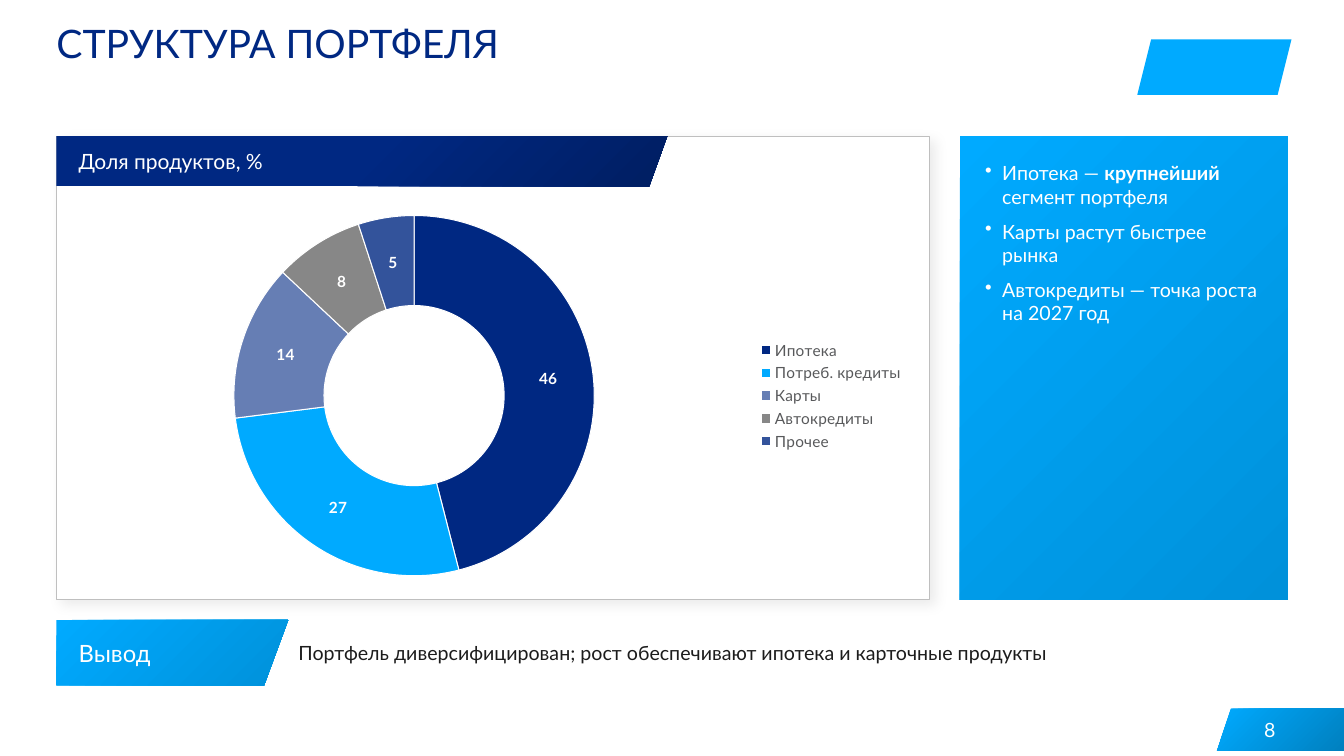
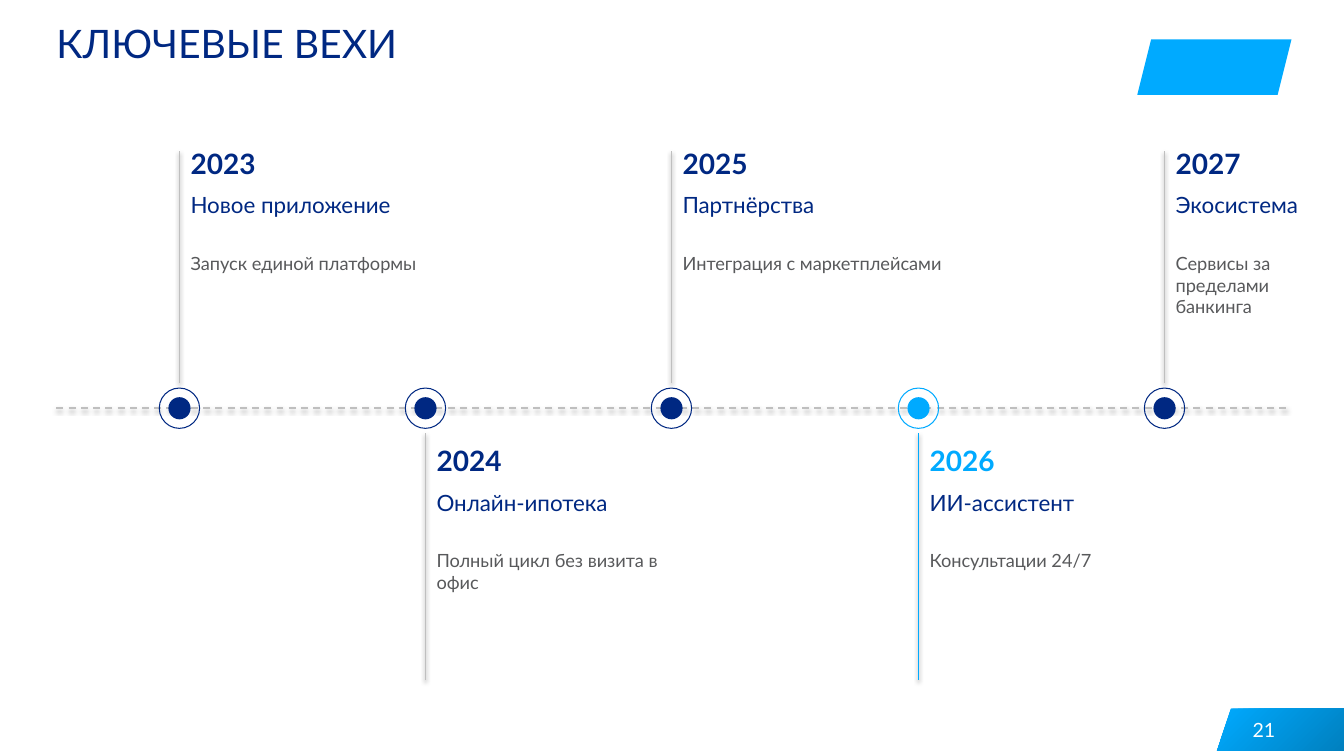
from dataclasses import dataclass

from pptx import Presentation
from pptx import util as u
from pptx.chart import data
from pptx.dml import color
from pptx.enum import chart as charts
from pptx.enum import dml, shapes, text
from pptx.oxml.ns import qn
from pptx.oxml.xmlchemy import OxmlElement

SCALE = u.Inches(1) // 100


def px(value):
    return u.Emu(value * SCALE)


def rgb(value):
    return color.RGBColor.from_string(value)


def child(parent, tag, **attributes):
    node = OxmlElement(tag)
    for name, value in attributes.items():
        node.set(name, str(value))
    parent.append(node)
    return node


@dataclass(frozen=True)
class Theme:
    font: str = "Lato"
    navy: str = "002882"
    sky: str = "00AAFF"
    white: str = "FFFFFF"
    ink: str = "1C1C1C"
    grey: str = "58595B"
    rule: str = "BFBFBF"
    slices: tuple = ("002882", "00AAFF", "667EB4", "878787", "33539B")
    sky_fade: tuple = ((0, "00AAFF"), (1, "0091DA"))
    navy_fade: tuple = ((0.5, "002882"), (1, "001E62"))
    footer_fade: tuple = ((0, "00AAFF"), (1, "0080BF"))
    card_shadow: tuple = (8, 9, 5, 45)
    line_shadow: tuple = (38, 3.1, 1.6, 90)
    title: int = 28
    year: int = 20
    badge: int = 17
    milestone: int = 16
    header: int = 15
    body: int = 14
    detail: int = 13
    chart: int = 11


class Builder:
    def __init__(self, theme):
        self.theme = theme
        self.deck = Presentation()
        self.deck.slide_width, self.deck.slide_height = px(1333), px(750)
        self.page = None

    def new_page(self, title, number):
        theme = self.theme
        self.page = self.deck.slides.add_slide(self.deck.slide_layouts[6])
        self.polygon([(1221, 703), (1333, 703), (1333, 745), (1207, 745)], theme.footer_fade)
        self.shape(shapes.MSO_SHAPE.PARALLELOGRAM, (1128, 39, 153, 55), fill=theme.sky)
        self.text((56, 19, 1048, 94), title, theme.title, theme.navy)
        self.text((1219, 704, 46, 40), number, theme.body, theme.white,
                  middle=True, align=text.PP_ALIGN.RIGHT)

    def effect(self, item, shadow=None):
        effects = child(item._element.spPr, "a:effectLst")
        if shadow:
            alpha, blur, distance, angle = shadow
            outer = child(effects, "a:outerShdw", blurRad=u.Pt(blur), dist=u.Pt(distance),
                          dir=angle * 60000, algn="tl", rotWithShape=0)
            tint = child(outer, "a:srgbClr", val="000000")
            child(tint, "a:alpha", val=alpha * 1000)

    def paint(self, item, fill=None, line=None, width=1, shadow=None):
        if isinstance(fill, tuple):
            item.fill.gradient()
            item.fill.gradient_angle = 315
            for stop, (position, tone) in zip(item.fill.gradient_stops, fill):
                stop.position = position
                stop.color.rgb = rgb(tone)
        elif fill:
            item.fill.solid()
            item.fill.fore_color.rgb = rgb(fill)
        else:
            item.fill.background()
        if line:
            item.line.color.rgb = rgb(line)
            item.line.width = u.Pt(width)
        else:
            item.line.fill.background()
        self.effect(item, shadow)

    def shape(self, kind, bounds, **look):
        self.paint(self.page.shapes.add_shape(kind, *map(px, bounds)), **look)

    def polygon(self, points, fill):
        outline = self.page.shapes.build_freeform(*points[0], scale=SCALE)
        outline.add_line_segments(points[1:], close=True)
        self.paint(outline.convert_to_shape(), fill)

    def circle(self, x, y, size, **look):
        self.shape(shapes.MSO_SHAPE.OVAL, (x - size // 2, y - size // 2, size, size), **look)

    def line(self, start, end, tone, width=1.0, dash=None):
        link = self.page.shapes.add_connector(
            shapes.MSO_CONNECTOR.STRAIGHT, *map(px, start + end))
        link.line.color.rgb = rgb(tone)
        link.line.width = u.Pt(width)
        if dash:
            link.line.dash_style = dash
        self.effect(link, self.theme.line_shadow)

    def frame(self, bounds, middle=False):
        frame = self.page.shapes.add_textbox(*map(px, bounds)).text_frame
        frame.word_wrap = True
        frame.margin_left = frame.margin_right = frame.margin_top = frame.margin_bottom = 0
        frame.vertical_anchor = text.MSO_ANCHOR.MIDDLE if middle else text.MSO_ANCHOR.TOP
        return frame

    def style(self, font, size, tone, bold=None):
        font.name = self.theme.font
        font.size = u.Pt(size)
        font.color.rgb = rgb(tone)
        font.bold = bold

    def text(self, bounds, words, size, tone, bold=None, middle=False, align=None):
        para = self.frame(bounds, middle).paragraphs[0]
        para.alignment = align
        para.add_run().text = words
        self.style(para.font, size, tone, bold)

    def bullets(self, bounds, items):
        theme = self.theme
        frame = self.frame(bounds)
        for index, spans in enumerate(items):
            para = frame.add_paragraph() if index else frame.paragraphs[0]
            if index:
                para.space_before = u.Pt(8)
            props = para._p.get_or_add_pPr()
            props.set("marL", str(px(17)))
            props.set("indent", str(-px(17)))
            child(child(props, "a:buClr"), "a:srgbClr", val=theme.white)
            child(props, "a:buChar", char="•")
            self.style(para.font, theme.body, theme.white)
            for words, bold in spans:
                span = para.add_run()
                span.text = words
                if bold:
                    span.font.bold = True

    def doughnut(self, bounds, shares):
        theme = self.theme
        source = data.CategoryChartData(number_format="0")
        source.categories = list(shares)
        source.add_series("Series 1", list(shares.values()))
        chart = self.page.shapes.add_chart(
            charts.XL_CHART_TYPE.DOUGHNUT, *map(px, bounds), source).chart
        self.style(chart.font, theme.chart, theme.grey)
        chart.has_title = False
        chart.has_legend = True
        chart.legend.position = charts.XL_LEGEND_POSITION.RIGHT
        chart.legend.include_in_layout = False
        self.style(chart.legend.font, theme.chart, theme.grey)
        plot = chart.plots[0]
        plot.vary_by_categories = True
        plot._element.find(qn("c:holeSize")).set("val", "60")
        series = plot.series[0]
        for index, tone in enumerate(theme.slices):
            look = series.points[index].format
            look.fill.solid()
            look.fill.fore_color.rgb = rgb(tone)
            look.line.color.rgb = rgb(theme.white)
            look.line.width = u.Pt(0.75)
        labels = series.data_labels
        labels.show_value = True
        labels.show_percentage = False
        labels.number_format = "0"
        labels.number_format_is_linked = False
        self.style(labels.font, theme.chart, theme.white, True)

    def milestone(self, x, axis, above, entry, active):
        theme = self.theme
        year, heading, detail = entry
        accent = theme.sky if active else theme.navy
        self.circle(x, axis, 22, fill=accent)
        self.circle(x, axis, 40, line=accent, width=0.75)
        start, end, top = (150, 380, 145) if above else (430, 675, 440)
        self.line((x, start), (x, end), theme.sky if active else theme.rule)
        left = x + 11
        width = min(260, 1317 - left)
        self.text((left, top, width, 40), year, theme.year, accent, bold=True)
        self.text((left, top + 45, width, 60), heading, theme.milestone, theme.navy)
        self.text((left, top + 105, width, 125), detail, theme.detail, theme.grey)


def portfolio_page(builder):
    theme = builder.theme
    builder.new_page("СТРУКТУРА ПОРТФЕЛЯ", "8")
    rectangle = shapes.MSO_SHAPE.RECTANGLE
    builder.shape(rectangle, (56, 135, 866, 460), fill=theme.white, line=theme.rule,
                  width=0.5, shadow=theme.card_shadow)
    builder.polygon([(56, 135), (662, 135), (644, 185), (56, 185)], theme.navy_fade)
    builder.text((78, 139, 556, 42), "Доля продуктов, %", theme.header, theme.white, middle=True)
    builder.doughnut((71, 200, 836, 385), {
        "Ипотека": 46, "Потреб. кредиты": 27, "Карты": 14, "Автокредиты": 8, "Прочее": 5})
    builder.shape(rectangle, (952, 135, 325, 460), fill=theme.sky_fade)
    builder.bullets((977, 160, 275, 410), [
        [("Ипотека — ", False), ("крупнейший", True), (" сегмент портфеля", False)],
        [("Карты растут быстрее рынка", False)],
        [("Автокредиты — точка роста на 2027 год", False)],
    ])
    builder.polygon([(56, 615), (286, 615), (262, 680), (56, 680)], theme.sky_fade)
    builder.text((78, 619, 174, 57), "Вывод", theme.badge, theme.white, middle=True)
    builder.text((296, 615, 981, 65),
                 "Портфель диверсифицирован; рост обеспечивают ипотека и карточные продукты",
                 theme.body, theme.ink, middle=True)


def milestones_page(builder):
    builder.new_page("КЛЮЧЕВЫЕ ВЕХИ", "21")
    left, right, axis = 56, 1277, 405
    builder.line((left, axis), (right, axis), builder.theme.rule, 1.25, dml.MSO_LINE.DASH)
    entries = [
        ("2023", "Новое приложение", "Запуск единой платформы"),
        ("2024", "Онлайн-ипотека", "Полный цикл без визита в офис"),
        ("2025", "Партнёрства", "Интеграция с маркетплейсами"),
        ("2026", "ИИ-ассистент", "Консультации 24/7"),
        ("2027", "Экосистема", "Сервисы за пределами банкинга"),
    ]
    step = (right - left) / len(entries)
    for index, entry in enumerate(entries):
        x = round(left + step * (index + 0.5))
        builder.milestone(x, axis, index % 2 == 0, entry, active=entry[0] == "2026")


def main():
    builder = Builder(Theme())
    portfolio_page(builder)
    milestones_page(builder)
    builder.deck.save("out.pptx")


if __name__ == "__main__":
    main()
